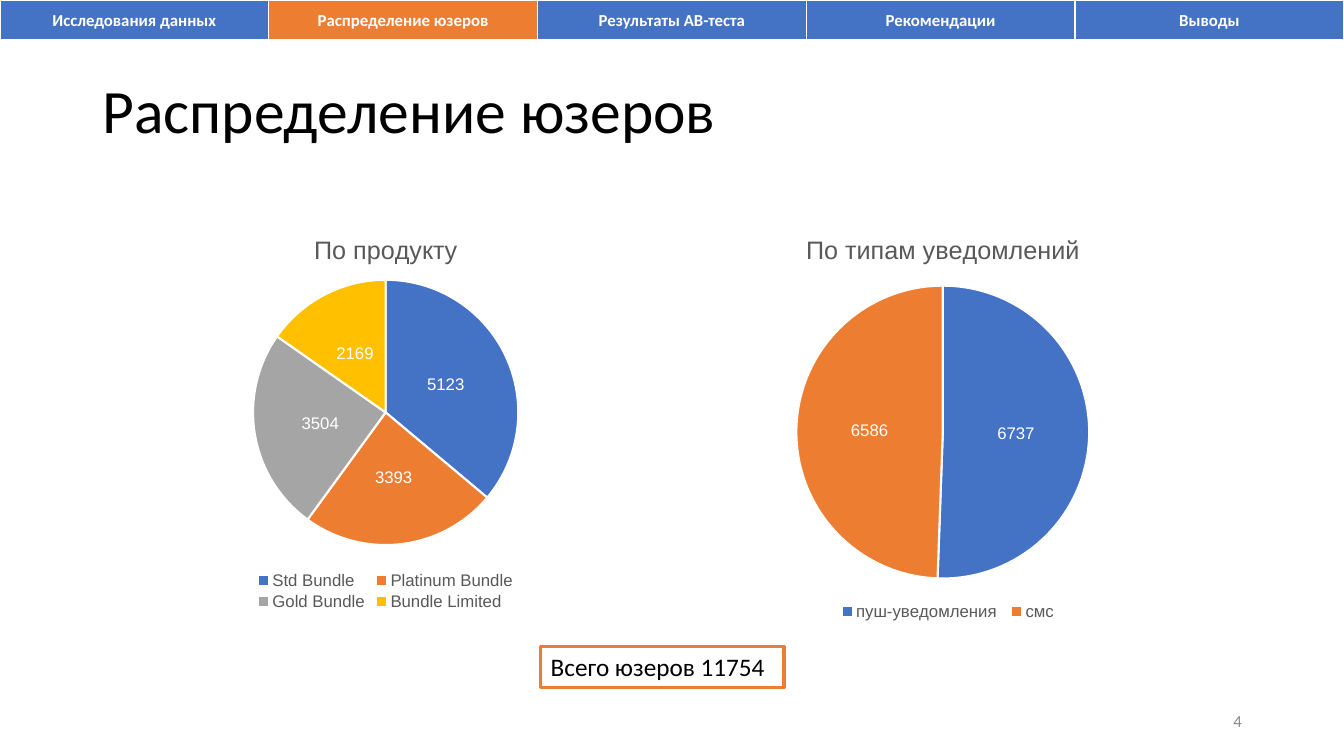
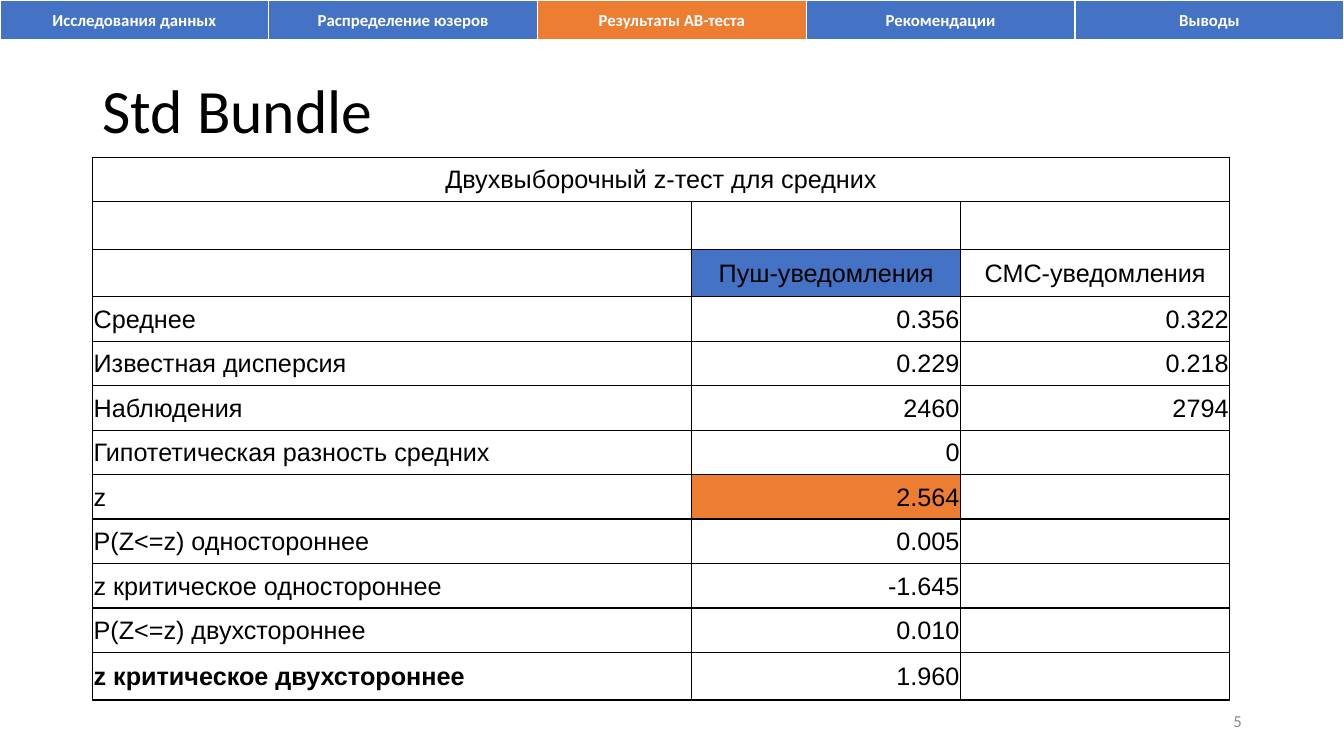
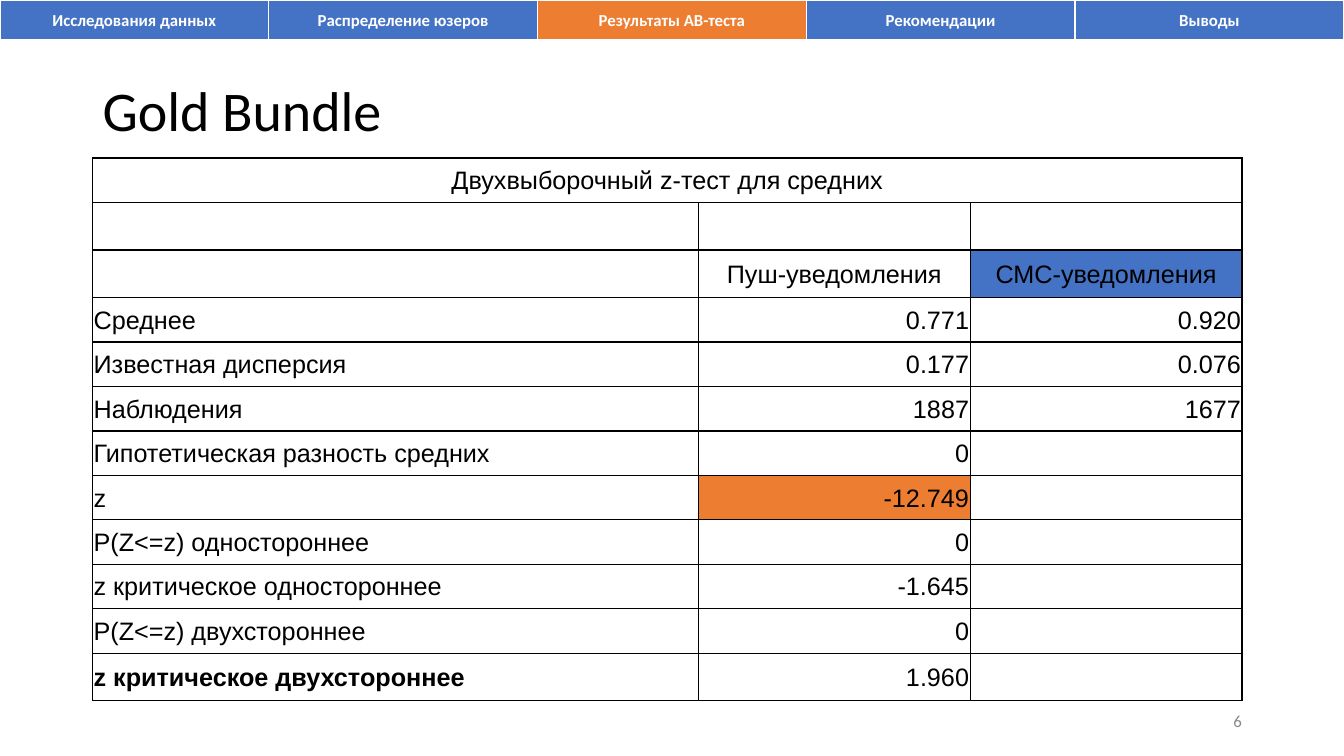
"""Build three slides on user distribution and A/B test results."""
from pptx import Presentation
from pptx.chart.data import CategoryChartData
from pptx.dml.color import RGBColor
from pptx.enum.chart import XL_CHART_TYPE as ChartType, XL_LABEL_POSITION as LabelPlace
from pptx.enum.chart import XL_LEGEND_POSITION as LegendPlace
from pptx.enum.shapes import MSO_SHAPE as Shape
from pptx.enum.text import MSO_ANCHOR as Anchor, MSO_AUTO_SIZE as AutoSize, PP_ALIGN as Align
from pptx.oxml import parse_xml
from pptx.oxml.ns import nsdecls
from pptx.util import Cm, Pt

BLUE, ORANGE, GRAY, YELLOW = "4472C4", "ED7D31", "A5A5A5", "FFC000"
WHITE, BLACK, CHART_TEXT, NUMBER_TEXT = "FFFFFF", "000000", "595959", "888888"
PAGE_WIDTH, PAGE_HEIGHT = 33.87, 19.05
TITLE_ONLY = 5

SECTIONS = ["Исследования данных", "Распределение юзеров", "Результаты АВ-теста",
            "Рекомендации", "Выводы"]
TOTAL = "Всего юзеров 11754"
PIES = [
    {"title": "По продукту", "at": (2.72, 5.43, 14, 10.13),
     "values": {"Std Bundle": 5123, "Platinum Bundle": 3393,
                "Gold Bundle": 3504, "Bundle Limited": 2169},
     "plot": (0.26, 0.16, 0.48, 0.66), "legend": (0.26, 0.88, 0.48, 0.11)},
    {"title": "По типам уведомлений", "at": (17.17, 5.43, 13.18, 10.4),
     "values": {"пуш-уведомления": 6737, "смс": 6586},
     "plot": (0.22, 0.17, 0.56, 0.71), "legend": (0.29, 0.93, 0.44, 0.06)},
]
TEST_TITLE = "Двухвыборочный z-тест для средних"
CHANNELS = ["Пуш-уведомления", "СМС-уведомления"]
MEASURES = ["Среднее", "Известная дисперсия", "Наблюдения",
            "Гипотетическая разность средних", "z", "P(Z<=z) одностороннее",
            "z критическое одностороннее", "P(Z<=z) двухстороннее",
            "z критическое двухстороннее"]
TESTS = [
    {"title": "Std Bundle", "size": 44, "top": 3.96, "columns": (15.1, 6.78, 6.78), "winner": 1,
     "push": ["0.356", "0.229", "2460", "0", "2.564", "0.005", "-1.645", "0.010", "1.960"],
     "sms": ["0.322", "0.218", "2794"]},
    {"title": "Gold Bundle", "size": 40, "top": 3.98, "columns": (15.27, 6.85, 6.85), "winner": 2,
     "push": ["0.771", "0.177", "1887", "0", "-12.749", "0", "-1.645", "0", "1.960"],
     "sms": ["0.920", "0.076", "1677"]},
]
FIRST_NUMBER = 4


def color(code):
    return RGBColor.from_string(code)


def style(font, size, code, name, bold=False):
    font.size, font.name, font.bold = Pt(size), name, bold
    font.color.rgb = color(code)


def write(frame, text, size, code, name, align=Align.LEFT, bold=False):
    para = frame.paragraphs[0]
    para.text, para.alignment = text, align
    style(para.font, size, code, name, bold)
    return para


def border(cell, code, widths):
    properties = cell._tc.get_or_add_tcPr()
    for position, (side, width) in enumerate(zip("LRTB", widths)):
        properties.insert(position, parse_xml(
            f'<a:ln{side} {nsdecls("a")} w="{Pt(width)}"><a:solidFill>'
            f'<a:srgbClr val="{code}"/></a:solidFill></a:ln{side}>'))


def fill_cell(cell, code, line, widths):
    cell.fill.solid()
    cell.fill.fore_color.rgb = color(code)
    cell.vertical_anchor = Anchor.MIDDLE
    border(cell, line, widths)


def add_grid(page, left, top, columns, rows):
    table = page.shapes.add_table(len(rows), len(columns), Cm(left), Cm(top),
                                  Cm(sum(columns)), Cm(sum(rows))).table
    table.first_row = table.horz_banding = False
    for column, width in zip(table.columns, columns):
        column.width = Cm(width)
    for row, height in zip(table.rows, rows):
        row.height = Cm(height)
    return table


def add_navigation(page, active):
    count = len(SECTIONS)
    table = add_grid(page, 0, 0, [PAGE_WIDTH / count] * count, [1.03])
    for index, section in enumerate(SECTIONS):
        cell = table.cell(0, index)
        fill_cell(cell, ORANGE if index == active else BLUE, WHITE, (1, 1, 1, 3))
        write(cell.text_frame, section, 12, WHITE, "Calibri", Align.CENTER, True)


def add_page(deck, title, active, size=44):
    page = deck.slides.add_slide(deck.slide_layouts[TITLE_ONLY])
    heading = page.shapes.title
    heading.left, heading.top, heading.width, heading.height = map(Cm, (2.33, 1.01, 29.21, 3.68))
    heading.text_frame.vertical_anchor = Anchor.MIDDLE
    heading.text_frame.auto_size = AutoSize.NONE
    write(heading.text_frame, title, size, BLACK, "Calibri").line_spacing = 0.9
    number = page.shapes.add_textbox(*map(Cm, (23.93, 17.66, 7.62, 1.01)))
    number.text_frame.word_wrap = True
    number.text_frame.vertical_anchor = Anchor.MIDDLE
    write(number.text_frame, str(FIRST_NUMBER + len(deck.slides) - 1), 12,
          NUMBER_TEXT, "Calibri", Align.RIGHT)
    add_navigation(page, active)
    return page


def chart_layout(area, inner=False):
    target = '<c:layoutTarget val="inner"/>' if inner else ""
    modes = "".join(f'<c:{axis}Mode val="edge"/>' for axis in "xy")
    parts = "".join(f'<c:{key} val="{value}"/>' for key, value in zip("xywh", area))
    return parse_xml(f'<c:layout {nsdecls("c")}><c:manualLayout>{target}{modes}{parts}'
                     '</c:manualLayout></c:layout>')


def add_pie(page, pie):
    data = CategoryChartData()
    data.categories = list(pie["values"])
    data.add_series("Series 1", list(pie["values"].values()))
    chart = page.shapes.add_chart(ChartType.PIE, *map(Cm, pie["at"]), data).chart
    style(chart.font, 10, BLACK, "Arial")
    chart.has_title = True
    write(chart.chart_title.text_frame, pie["title"], 18, CHART_TEXT, "Arial", Align.CENTER)
    chart.has_legend = True
    chart.legend.position = LegendPlace.BOTTOM
    chart.legend.include_in_layout = False
    style(chart.legend.font, 12, CHART_TEXT, "Arial")

    plot = chart.plots[0]
    plot.vary_by_categories = True
    plot.has_data_labels = True
    labels = plot.data_labels
    labels.show_value, labels.show_percentage = True, False
    labels.position = LabelPlace.CENTER
    style(labels.font, 12, WHITE, "Arial")
    for index, code in zip(range(len(pie["values"])), (BLUE, ORANGE, GRAY, YELLOW)):
        look = plot.series[0].points[index].format
        look.fill.solid()
        look.fill.fore_color.rgb = color(code)
        look.line.color.rgb = color(WHITE)
        look.line.width = Pt(1.5)

    plot_area = chart.element.xpath(".//c:plotArea")[0]
    for old in plot_area.xpath("c:layout"):
        plot_area.remove(old)
    plot_area.insert(0, chart_layout(pie["plot"], True))
    legend = chart.element.xpath(".//c:legend")[0]
    for old in legend.xpath("c:layout"):
        legend.remove(old)
    legend.xpath("c:legendPos")[0].addnext(chart_layout(pie["legend"]))


def add_total(page):
    box = page.shapes.add_shape(Shape.RECTANGLE, *map(Cm, (13.63, 16.3, 6.13, 1.03)))
    box.shadow.inherit = False
    box.fill.background()
    box.line.color.rgb = color(ORANGE)
    box.line.width = Pt(2.25)
    box.text_frame.word_wrap = True
    box.text_frame.vertical_anchor = Anchor.TOP
    write(box.text_frame, TOTAL, 18, BLACK, "Calibri")


def add_test(page, test):
    sms = test["sms"] + [""] * (len(MEASURES) - len(test["sms"]))
    rows = [(TEST_TITLE, "", ""), ("", "", ""), ("", *CHANNELS),
            *zip(MEASURES, test["push"], sms)]
    heights = [1.12, 1.2, 1.2] + [1.12] * (len(MEASURES) - 1) + [1.2]
    highlights = {(2, test["winner"]): BLUE, (3 + MEASURES.index("z"), 1): ORANGE}
    table = add_grid(page, 2.33, test["top"], test["columns"], heights)
    for r, row in enumerate(rows):
        for c, text in enumerate(row):
            cell = table.cell(r, c)
            fill_cell(cell, highlights.get((r, c), WHITE), BLACK, (1, 1, 1, 1))
            cell.margin_left = cell.margin_right = cell.margin_top = Cm(0.03)
            cell.margin_bottom = 0
            align = Align.CENTER if r < 3 else Align.RIGHT if c else Align.LEFT
            bold = c == 0 and r == len(rows) - 1
            write(cell.text_frame, text, 18, BLACK, "Arial", align, bold)
    table.cell(0, 0).merge(table.cell(0, 2))


deck = Presentation()
deck.slide_width, deck.slide_height = Cm(PAGE_WIDTH), Cm(PAGE_HEIGHT)

users_page = add_page(deck, SECTIONS[1], 1)
for pie in PIES:
    add_pie(users_page, pie)
add_total(users_page)

for test in TESTS:
    add_test(add_page(deck, test["title"], 2, test["size"]), test)

deck.save("out.pptx")
